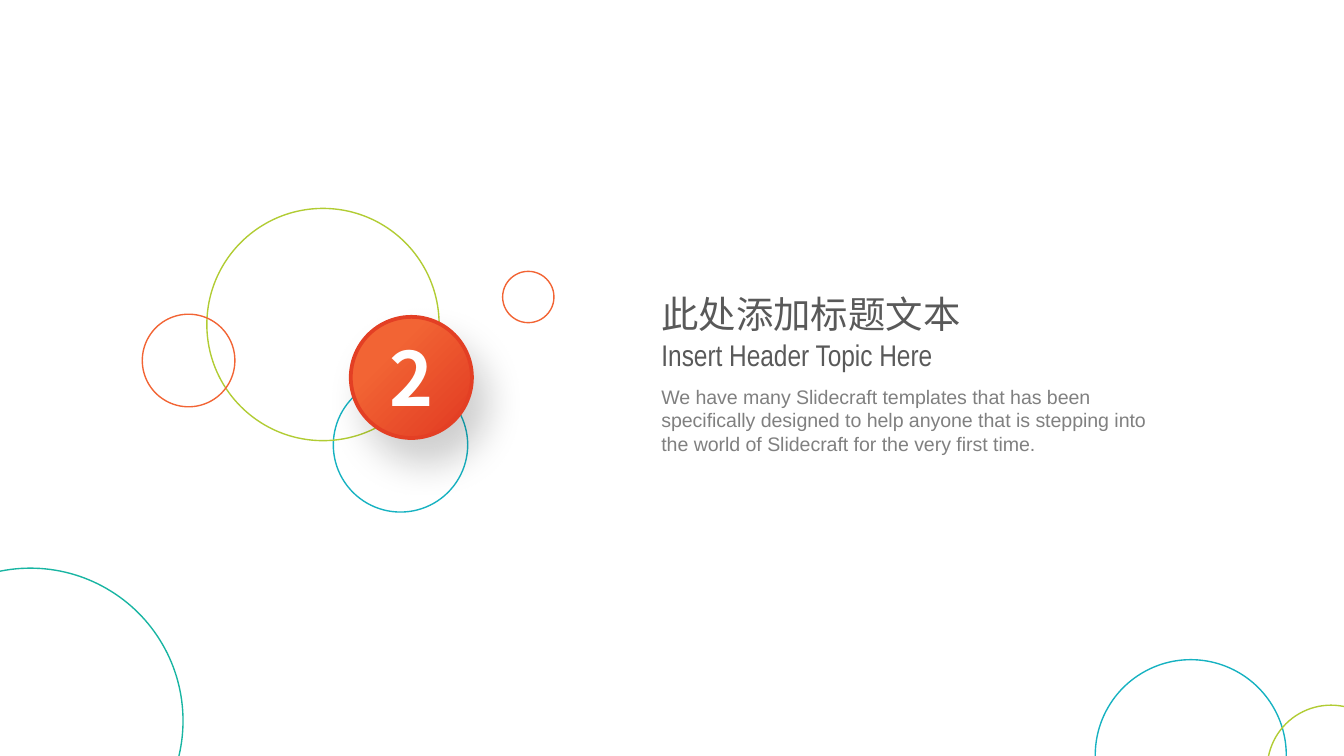
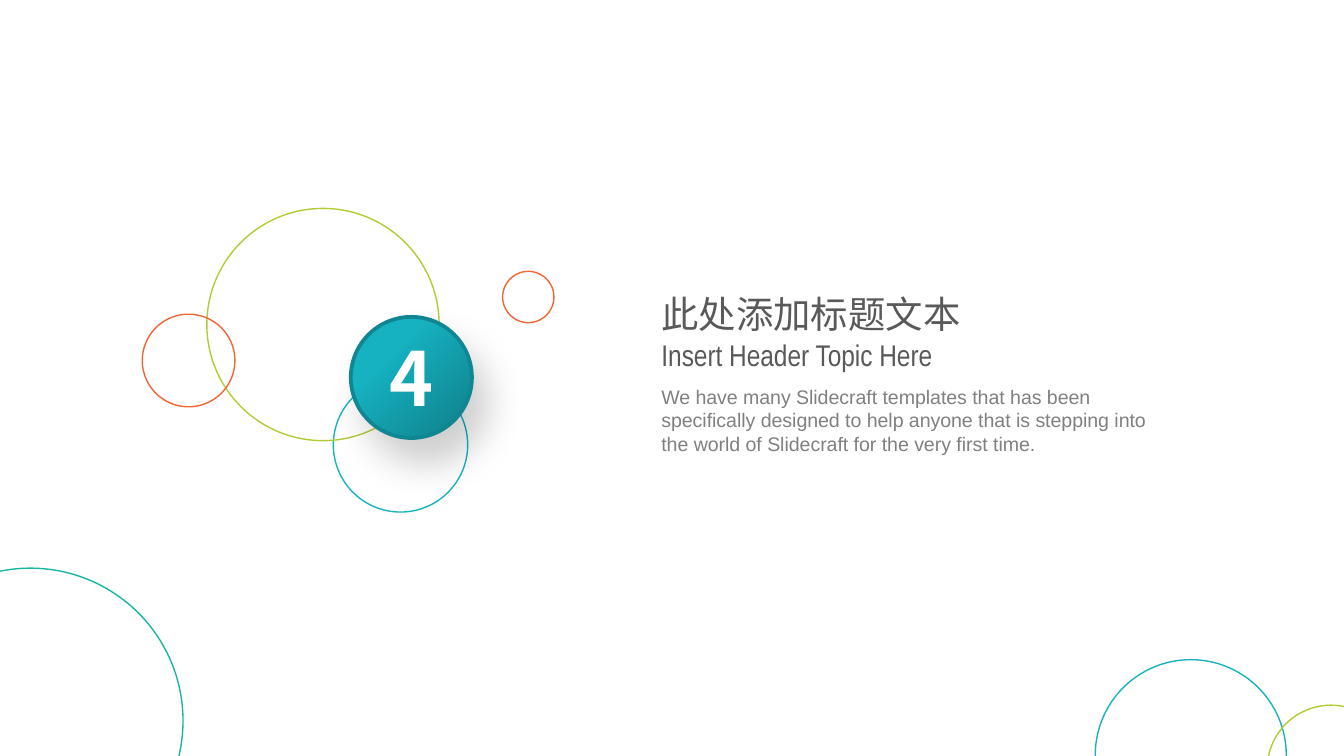
from pptx import Presentation
from pptx.dml.color import RGBColor
from pptx.enum.shapes import MSO_SHAPE as SHAPE
from pptx.enum.text import MSO_ANCHOR as ANCHOR, MSO_AUTO_SIZE as AUTOSIZE, PP_ALIGN as ALIGN
from pptx.oxml import parse_xml
from pptx.oxml.ns import nsdecls, qn
from pptx.util import Cm, Pt
from lxml import etree

# Colours: each pair is bright, dark
ORANGE = RGBColor(0xF2, 0x64, 0x34), RGBColor(0xE3, 0x3F, 0x24)
BLUE = RGBColor(0x16, 0xB2, 0xC1), RGBColor(0x10, 0x86, 0x92)
LIME = RGBColor(0xB1, 0xCC, 0x33), RGBColor(0x89, 0xA1, 0x3D)
GREEN = RGBColor(0x18, 0xB5, 0xA2), RGBColor(0x13, 0x8F, 0x81)
TITLE_GREY = RGBColor(0x59, 0x59, 0x59)
BODY_GREY = RGBColor(0x80, 0x80, 0x80)
WHITE = RGBColor(0xFF, 0xFF, 0xFF)

CJK_FONT = "Noto Sans CJK SC"
TITLE = "此处添加标题文本\nInsert Header Topic Here"
INTRO = ("We have many Slidecraft templates that has been specifically designed to help "
         "anyone that is stepping into the world of Slidecraft for the very first time.")

# Decorative rings: left, top, diameter in cm, colours
RINGS = [
    (6.3, 7.14, 2.54, BLUE),
    (3.91, 3.94, 4.39, LIME),
    (-2.31, 10.74, 5.77, GREEN),
    (2.69, 5.94, 1.75, ORANGE),
    (20.7, 12.47, 3.61, BLUE),
    (9.5, 5.13, 0.97, ORANGE),
    (23.95, 13.33, 2.41, LIME),
]
SECTIONS = [("2", ORANGE), ("4", BLUE)]

SHADOW = (f'<a:effectLst {nsdecls("a")}>'
          f'<a:outerShdw blurRad="{Pt(20)}" dist="{Pt(15)}" dir="{59 * 60000}" '
          'algn="tl" rotWithShape="0"><a:srgbClr val="0D0D0D"><a:alpha val="20000"/>'
          '</a:srgbClr></a:outerShdw></a:effectLst>')
DIAGONAL = f'<a:lin {nsdecls("a")} ang="{45 * 60000}" scaled="0"/>'


def add_circle(slide, left, top, diameter, line_colors, line_width):
    circle = slide.shapes.add_shape(SHAPE.OVAL, Cm(left), Cm(top), Cm(diameter), Cm(diameter))
    circle.shadow.inherit = False
    circle.fill.background()
    circle.line.width = Pt(line_width)
    circle.line.fill.gradient()
    for stop, color in zip(circle.line.fill.gradient_stops, line_colors):
        stop.color.rgb = color
    return circle


def style_text(paragraph, font_name, size, color, bold=False):
    for run in paragraph.runs:
        run.font.name = font_name
        run.font.size = Pt(size)
        run.font.color.rgb = color
        run.font.bold = bold
        if font_name == CJK_FONT:
            etree.SubElement(run.font._element, qn("a:ea"), typeface=font_name)


prs = Presentation()
prs.slide_width, prs.slide_height = Cm(25.4), Cm(14.29)

for number, colors in SECTIONS:
    slide = prs.slides.add_slide(prs.slide_layouts[5])

    # Rings
    for left, top, diameter, ring_colors in RINGS:
        add_circle(slide, left, top, diameter, ring_colors, 0.75)

    # Section title and introduction
    title = slide.shapes.title
    title.left, title.top, title.width, title.height = Cm(12.5), Cm(5.38), Cm(5.99), Cm(1.8)
    title.text_frame.text = TITLE
    intro = slide.shapes.add_textbox(Cm(12.5), Cm(7.14), Cm(10.01), Cm(1.6))
    intro.text_frame.text = INTRO
    for block in (title, intro):
        frame = block.text_frame
        frame.word_wrap = True
        frame.auto_size = AUTOSIZE.SHAPE_TO_FIT_TEXT
        frame.vertical_anchor = ANCHOR.TOP
        frame.margin_left = 0
        frame.margin_right = Cm(0.25)
        frame.margin_top = frame.margin_bottom = Cm(0.13)
        for paragraph in frame.paragraphs:
            paragraph.alignment = ALIGN.LEFT
    heading, subheading = title.text_frame.paragraphs
    style_text(heading, CJK_FONT, 20, TITLE_GREY)
    style_text(subheading, "Arial Narrow", 16, TITLE_GREY)
    style_text(intro.text_frame.paragraphs[0], "Arial", 10.5, BODY_GREY)

    # Numbered badge
    badge = add_circle(slide, 6.63, 5.99, 2.29, colors[::-1], 2)
    badge.fill.gradient()
    for stop, color, position in zip(badge.fill.gradient_stops, colors, (0.3, 0.9)):
        stop.color.rgb = color
        stop.position = position
    properties = badge._element.spPr
    properties.replace(properties.find(qn("a:effectLst")), parse_xml(SHADOW))

    section_number = slide.shapes.add_textbox(Cm(6.5), Cm(6.15), Cm(2.54), Cm(1.96))
    section_number.text_frame.word_wrap = True
    section_number.text_frame.auto_size = AUTOSIZE.SHAPE_TO_FIT_TEXT
    section_number.text_frame.text = number
    digit = section_number.text_frame.paragraphs[0]
    digit.alignment = ALIGN.CENTER
    style_text(digit, CJK_FONT, 40, WHITE, bold=True)

    # Diagonal direction for every gradient
    for gradient in slide._element.iter(qn("a:gradFill")):
        for direction in gradient.findall(qn("a:lin")):
            gradient.remove(direction)
        gradient.find(qn("a:gsLst")).addnext(parse_xml(DIAGONAL))

prs.save("out.pptx")
